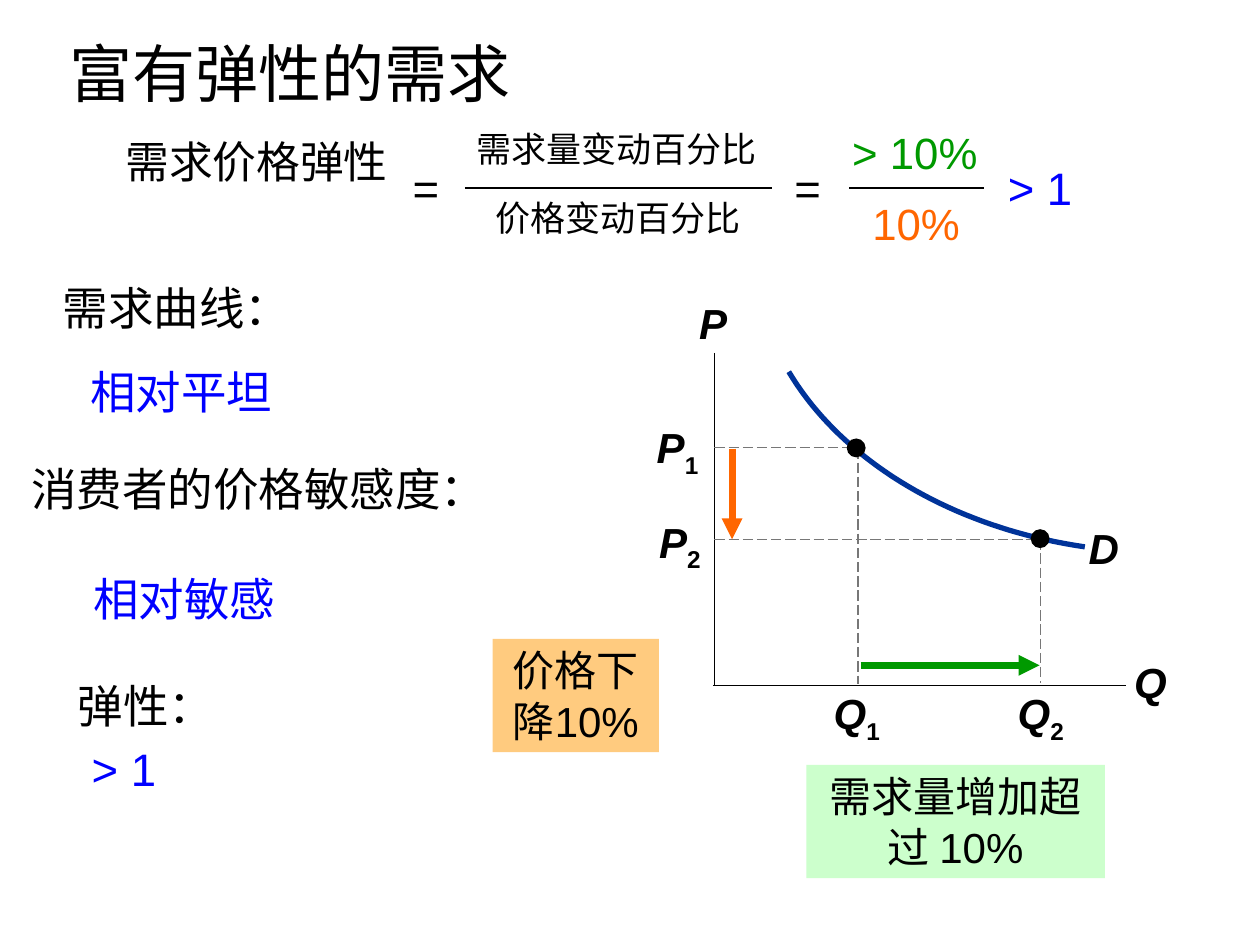
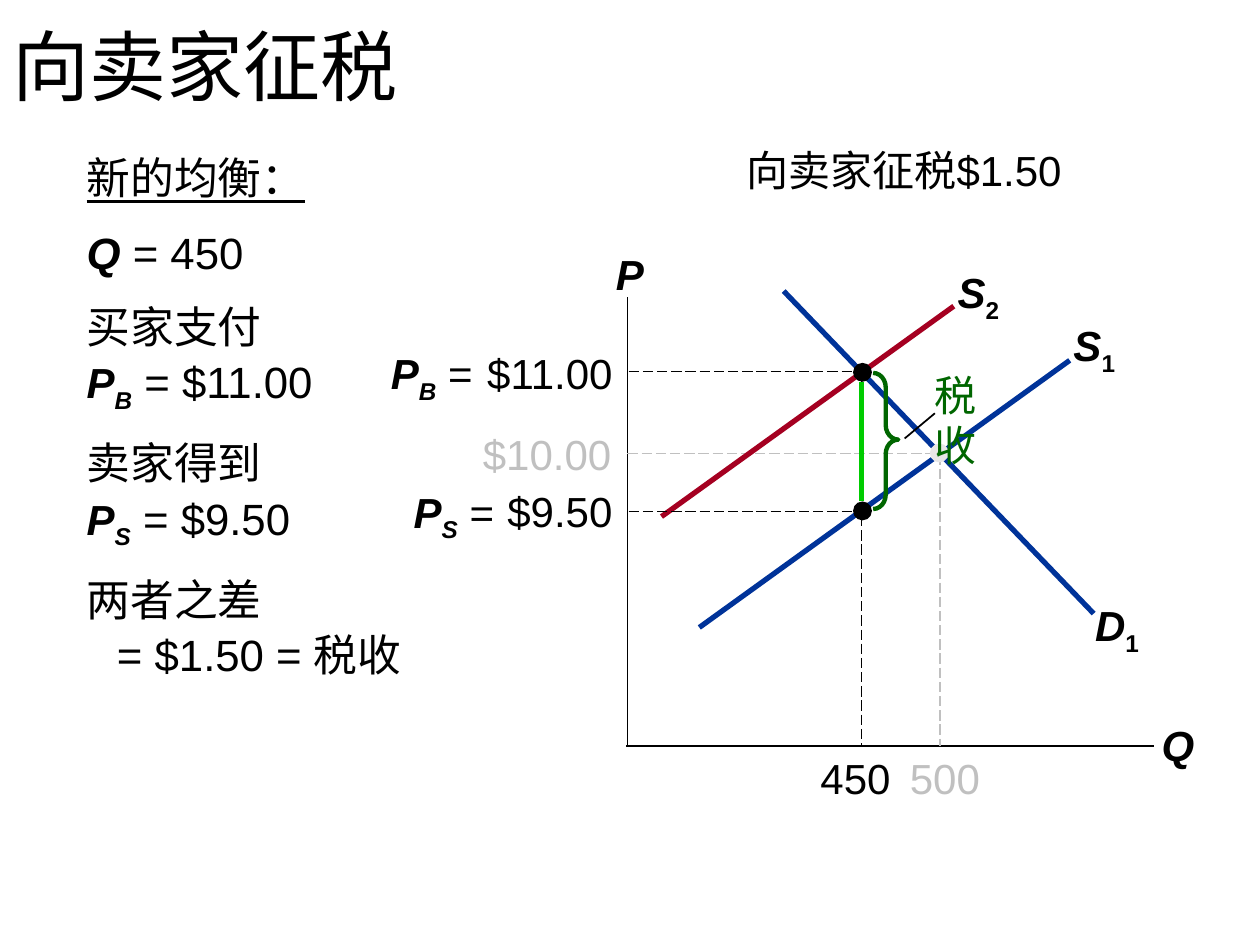
from lxml.etree import SubElement
from pptx import Presentation
from pptx.dml.color import RGBColor
from pptx.enum.dml import MSO_LINE
from pptx.enum.shapes import MSO_CONNECTOR, MSO_SHAPE
from pptx.enum.text import MSO_ANCHOR, PP_ALIGN
from pptx.oxml.ns import qn
from pptx.util import Emu, Pt

PX = 9144  # 100 px to the inch
HUES = {
    "black": "000000", "navy": "003399", "blue": "0000FF", "red": "A50021",
    "orange": "FF6600", "amber": "FF9900", "green": "009900", "lime": "00CC00",
    "mint": "CCFFCC", "forest": "006600", "dash": "777777", "gray": "C0C0C0",
    "pale": "E7E6E6",
}
INK = {name: RGBColor.from_string(code) for name, code in HUES.items()}
LEFT, MID, RIGHT = PP_ALIGN.LEFT, PP_ALIGN.CENTER, PP_ALIGN.RIGHT


def label(slide, box, paras, size=24, ink="black", align=MID, gap=None,
          fill=None, inset=None, font="Arial"):
    """Write paragraphs of (text, style) runs; b bold, i italic, u line, s subscript."""
    place = [Emu(n * PX) for n in box]
    if fill:
        shape = slide.shapes.add_shape(MSO_SHAPE.RECTANGLE, *place)
        shape.shadow.inherit = False
        shape.fill.solid()
        shape.fill.fore_color.rgb = INK[fill]
        shape.line.fill.background()
    else:
        shape = slide.shapes.add_textbox(*place)
    frame = shape.text_frame
    frame.word_wrap = True
    frame.vertical_anchor = MSO_ANCHOR.TOP
    if inset is not None:
        frame.margin_left = frame.margin_top = frame.margin_bottom = 0
        frame.margin_right = Emu(inset * PX)
    if isinstance(paras, str):
        paras = [[(paras, "")]]
    for i, runs in enumerate(paras):
        para = frame.add_paragraph() if i else frame.paragraphs[0]
        para.alignment = align
        if gap:
            para.line_spacing = gap
        for text, style in runs:
            if text == "\n":
                para.add_line_break()
                continue
            run = para.add_run()
            run.text = text
            face = run.font
            face.name, face.size, face.color.rgb = font, Pt(size), INK[ink]
            face.bold, face.italic = "b" in style, "i" in style
            face.underline = "u" in style
            if "s" in style:
                face._element.set("baseline", "-25000")
    return shape


def line(slide, ends, ink="black", width=1.0, dash=False, arrow=False):
    link = slide.shapes.add_connector(
        MSO_CONNECTOR.STRAIGHT, *[Emu(n * PX) for n in ends])
    link.line.color.rgb = INK[ink]
    link.line.width = Pt(width)
    if dash:
        link.line.dash_style = MSO_LINE.LONG_DASH
    if arrow:
        SubElement(link.line._get_or_add_ln(), qn("a:tailEnd"), type="triangle")
    SubElement(link._element.spPr, qn("a:effectLst"))


deck = Presentation()
deck.slide_width, deck.slide_height = Emu(1000 * PX), Emu(750 * PX)
first, second = [deck.slides.add_slide(deck.slide_layouts[6]) for _ in range(2)]

# Titles
for slide, box, text, size, gap in [
    (first, (45, 27, 929, 68), "富有弹性的需求", 36, 0.9),
    (second, (0, 23, 1000, 71), "向卖家征税", 44, 0.8),
]:
    title = label(slide, box, text, size, align=LEFT, gap=gap, font="Calibri")
    title.text_frame.vertical_anchor = MSO_ANCHOR.MIDDLE

# Demand curve, sampled from a cubic
knots = [(861, 434), (757, 419), (669, 367), (626, 295)]
steps = 40
trail = []
for i in range(steps + 1):
    t = i / steps
    parts = [(1 - t) ** 3, 3 * t * (1 - t) ** 2, 3 * t * t * (1 - t), t ** 3]
    trail.append([round(PX * sum(w * k[axis] for w, k in zip(parts, knots)))
                  for axis in (0, 1)])
form = first.shapes.build_freeform(*trail[0])
form.add_line_segments(trail[1:], close=False)
curve = form.convert_to_shape()
curve.shadow.inherit = False
curve.fill.background()
curve.line.color.rgb = INK["navy"]
curve.line.width = Pt(3)

# Axes, supply and demand lines, dashed guides
for slide, ends, ink, width, dash in [
    (first, (567, 280, 567, 544), "black", 1, False),
    (first, (566, 544, 894, 544), "black", 1, False),
    (first, (681, 356, 681, 543), "dash", 0.75, True),
    (first, (567, 355, 682, 355), "dash", 0.75, True),
    (first, (826, 428, 826, 542), "dash", 0.75, True),
    (first, (567, 428, 825, 428), "dash", 0.75, True),
    (second, (555, 498, 849, 286), "navy", 3, False),
    (second, (498, 236, 498, 591), "black", 1, False),
    (second, (497, 592, 916, 592), "black", 1, False),
    (second, (622, 231, 868, 487), "navy", 3, False),
    (second, (498, 360, 746, 360), "gray", 0.75, True),
    (second, (746, 361, 746, 592), "gray", 0.75, True),
    (second, (525, 410, 757, 243), "red", 3, False),
    (second, (684, 297, 684, 591), "black", 0.75, True),
    (second, (499, 295, 685, 295), "black", 0.75, True),
    (second, (499, 406, 685, 406), "black", 0.75, True),
]:
    line(slide, ends, ink, width, dash)

# Points on the curves
for slide, x, y, ink in [
    (first, 672, 348, "black"), (first, 818, 420, "black"),
    (second, 738, 352, "pale"), (second, 677, 288, "black"),
    (second, 677, 398, "black"),
]:
    dot = slide.shapes.add_shape(
        MSO_SHAPE.OVAL, *[Emu(n * PX) for n in (x, y, 15, 15)])
    dot.shadow.inherit = False
    dot.fill.solid()
    dot.fill.fore_color.rgb = INK[ink]
    dot.line.fill.background()

# Symbols on the graphs
for slide, x, y, wide, name, mark, align in [
    (first, 843, 410, 66, "D", "", MID),
    (first, 528, 231, 76, "P", "", MID),
    (first, 875, 516, 76, "Q", "", MID),
    (first, 648, 541, 64, "Q", "1", MID),
    (first, 499, 330, 65, "P", "1", RIGHT),
    (first, 796, 541, 60, "Q", "2", MID),
    (first, 499, 405, 67, "P", "2", RIGHT),
    (second, 835, 249, 67, "S", "1", MID),
    (second, 477, 192, 46, "P", "", MID),
    (second, 910, 566, 50, "Q", "", MID),
    (second, 853, 471, 67, "D", "1", MID),
    (second, 743, 207, 67, "S", "2", MID),
]:
    runs = [(name, "bi")] + ([(mark, "bs")] if mark else [])
    label(slide, (x, y, wide, 50), [runs], align=align)

# Slide 1: price and quantity arrows with their notes
line(first, (581, 356, 581, 428), "orange", 4, arrow=True)
line(first, (683, 528, 825, 528), "green", 4, arrow=True)
label(first, (640, 607, 237, 90), "需求量增加超过 10%", fill="mint")
drop = label(first, (391, 507, 132, 90), "价格下降10%", fill="amber")
tone = drop._element.spPr.find(qn("a:solidFill"))[0]
SubElement(tone, qn("a:alpha"), val="50000")

# Slide 1: elasticity formula
for box, text, size, ink in [
    ((79, 105, 249, 50), "需求价格弹性", 25, "black"),
    ((313, 122, 50, 53), "=", 26, "black"),
    ((359, 96, 261, 40), "需求量变动百分比", 20, "black"),
    ((360, 151, 261, 40), "价格变动百分比", 20, "black"),
    ((616, 122, 50, 53), "=", 26, "black"),
    ((662, 95, 128, 52), "> 10%", 25, "green"),
    ((663, 151, 128, 52), "10%", 25, "orange"),
    ((788, 122, 75, 53), "> 1", 26, "blue"),
]:
    label(first, box, text, size, ink, gap=0.95 if text == "需求价格弹性" else None)
for start, end in [(369, 613), (674, 781)]:
    line(first, (start, 149, end, 149))

# Slide 1: traits and their answers
for box, text, ink in [
    ((40, 215, 211, 78), "需求曲线：", "black"),
    ((62, 282, 317, 58), "相对平坦", "blue"),
    ((15, 359, 382, 117), "消费者的价格敏感度：", "black"),
    ((64, 446, 287, 54), "相对敏感", "blue"),
    ((52, 531, 177, 59), "弹性：", "black"),
    ((63, 581, 200, 59), "> 1", "blue"),
]:
    label(first, box, text, 26, ink, LEFT, 1.05)

# Slide 2: values on the axes
for box, text, ink, align, inset in [
    ((370, 340, 125, 40), "$10.00", "gray", RIGHT, 10),
    ((368, 276, 128, 40), "$11.00", "black", RIGHT, 10),
    ((393, 385, 103, 40), "$9.50", "black", RIGHT, 10),
    ((718, 597, 64, 40), "500", "gray", MID, 0),
    ((647, 597, 64, 40), "450", "black", MID, 0),
]:
    label(second, box, text, ink=ink, align=align, inset=inset)
for x, y, mark in [(297, 271, "B"), (314, 381, "S")]:
    label(second, (x, y, 88, 50), [[("P", "bi"), (mark, "bis"), (" =", "")]],
          align=RIGHT)

# Slide 2: tax wedge
line(second, (684, 398, 684, 303), "lime", 3)
brace = second.shapes.add_shape(
    MSO_SHAPE.RIGHT_BRACE, *[Emu(n * PX) for n in (693, 296, 20, 108)])
brace.shadow.inherit = False
brace.adjustments[0], brace.adjustments[1] = 0.57, 0.49
brace.fill.background()
brace.line.color.rgb = INK["forest"]
brace.line.width = Pt(2.5)
label(second, (708, 288, 77, 90), "税收", ink="forest", align=RIGHT)
line(second, (718, 348, 742, 328))
label(second, (527, 110, 381, 50), "向卖家征税$1.50")

# Slide 2: new equilibrium
notes = label(second, (59, 113, 287, 532), [
    [("新的均衡：", "u")],
    [("Q", "bi"), (" = 450", "")],
    [("买家支付", ""), ("\n", ""), ("P", "bi"), ("B", "bis"), (" = $11.00", "")],
    [("卖家得到", ""), ("\n", ""), ("P", "bi"), ("S", "bis"), (" = $9.50", "")],
    [("两者之差", "")],
    [("= $1.50 = 税收", "")],
], 25, align=LEFT, gap=1.05)
items = notes.text_frame.paragraphs
for para in items[1:5]:
    para.space_before = Pt(11)
for para in items[2:4]:
    for run in para.runs:
        if run.font.bold:
            run.font.size = Pt(24)
items[5]._p.get_or_add_pPr().set("marL", str(24 * PX))

deck.save("out.pptx")
